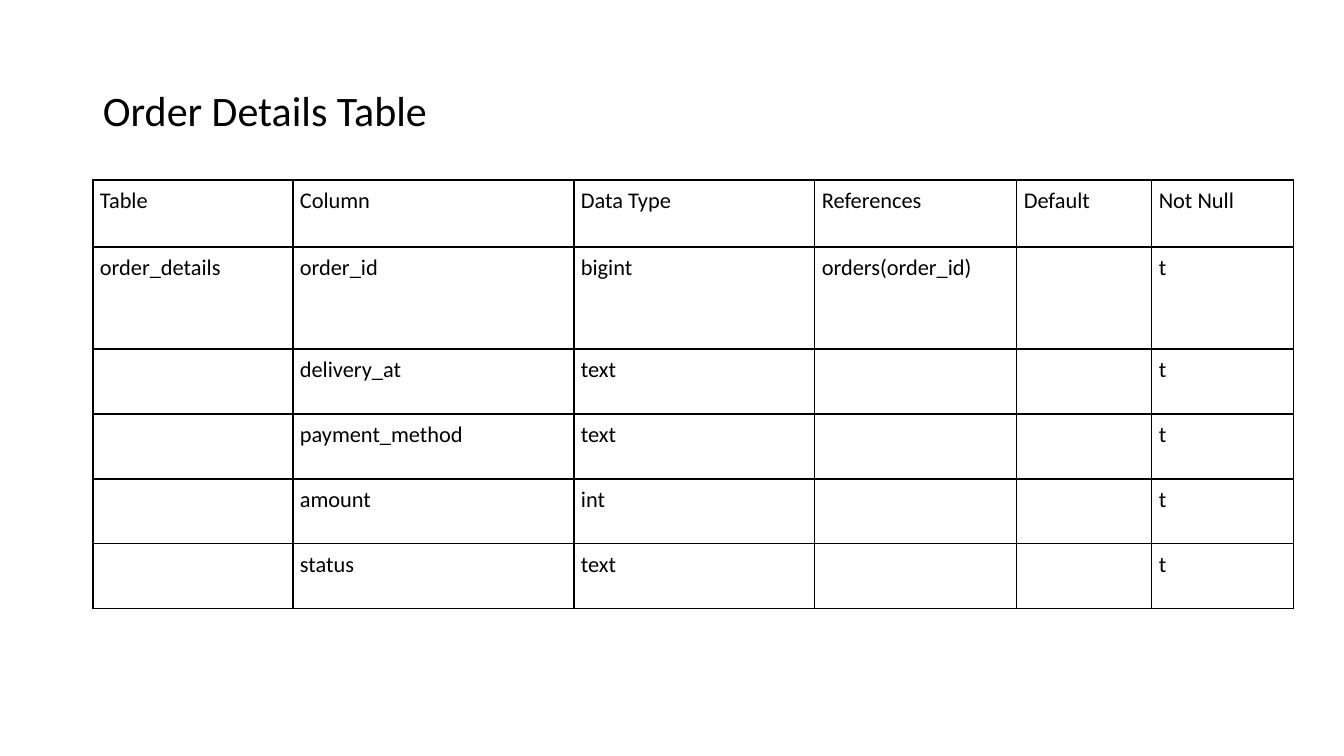
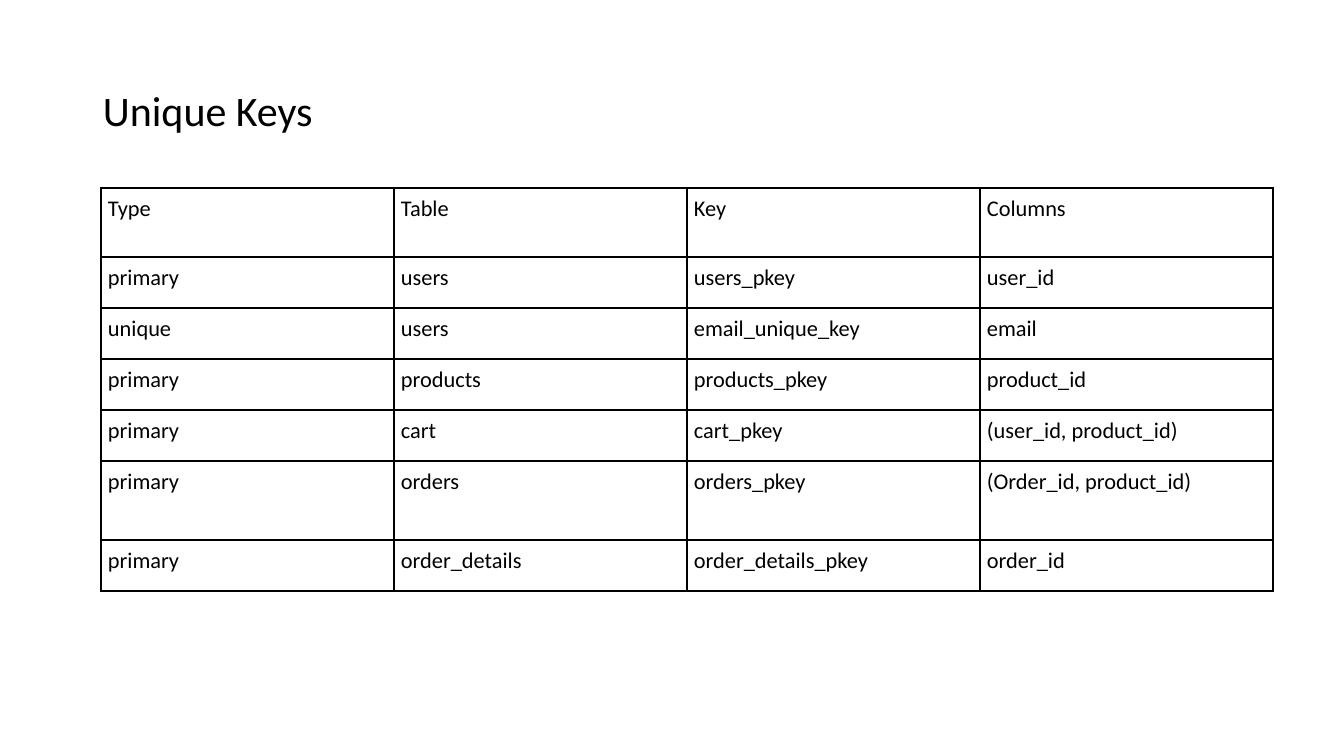
from lxml import etree
from pptx import Presentation
from pptx.dml.color import RGBColor
from pptx.enum.text import MSO_ANCHOR
from pptx.oxml.ns import qn
from pptx.util import Pt

MIDDLE = MSO_ANCHOR.MIDDLE
SLIDE_W, SLIDE_H = 1344, 756
PX = 12192000 / SLIDE_W
FONT = "Calibri"
INK = "000000"
PAPER = "FFFFFF"
TITLE_BOX = (93, 40, 1159, 146)
CELL_INSET = 7
BORDER_PT = 1

ORDER_DETAILS = [
    ("Table", "Column", "Data Type", "References", "Default", "Not Null"),
    ("order_details", "order_id", "bigint", "orders(order_id)", "", "t"),
    ("", "delivery_at", "text", "", "", "t"),
    ("", "payment_method", "text", "", "", "t"),
    ("", "amount", "int", "", "", "t"),
    ("", "status", "text", "", "", "t"),
]
UNIQUE_KEYS = [
    ("Type", "Table", "Key", "Columns"),
    ("primary", "users", "users_pkey", "user_id"),
    ("unique", "users", "email_unique_key", "email"),
    ("primary", "products", "products_pkey", "product_id"),
    ("primary", "cart", "cart_pkey", "(user_id, product_id)"),
    ("primary", "orders", "orders_pkey", "(Order_id, product_id)"),
    ("primary", "order_details", "order_details_pkey", "order_id"),
]


def px(length):
    """Turn a length in px into EMU."""
    return round(length * PX)


def color(value):
    """Turn a hex string into a colour."""
    return RGBColor.from_string(value)


def style_text(paragraph, size):
    """Set the shared font and ink on a paragraph."""
    paragraph.font.name = FONT
    paragraph.font.size = Pt(size)
    paragraph.font.color.rgb = color(INK)


def add_title(slide, text, box):
    """Place the slide title, centred vertically in its box."""
    frame = slide.shapes.add_textbox(*map(px, box)).text_frame
    frame.word_wrap = True
    frame.vertical_anchor = MIDDLE
    heading = frame.paragraphs[0]
    heading.text = text
    heading.line_spacing = 0.9
    style_text(heading, 30)


def add_borders(cell):
    """Draw a solid line on all four sides of a cell."""
    properties = cell._tc.get_or_add_tcPr()
    for side in ("lnL", "lnR", "lnT", "lnB"):
        line = etree.SubElement(properties, qn(f"a:{side}"), w=str(Pt(BORDER_PT)))
        fill = etree.SubElement(line, qn("a:solidFill"))
        etree.SubElement(fill, qn("a:srgbClr"), val=INK)


def fill_cell(cell, text):
    """Write one bordered cell without a fill."""
    cell.margin_left = cell.margin_right = px(CELL_INSET)
    cell.margin_top = cell.margin_bottom = px(CELL_INSET)
    add_borders(cell)
    cell.fill.background()
    entry = cell.text_frame.paragraphs[0]
    entry.text = text
    style_text(entry, 16)


def add_grid(slide, rows, left, top, widths, heights):
    """Place a plain ruled table with its corner at left, top."""
    box = (left, top, sum(widths), sum(heights))
    grid = slide.shapes.add_table(len(rows), len(widths), *map(px, box)).table
    grid.first_row = False
    grid.horz_banding = False
    for column, width in zip(grid.columns, widths):
        column.width = px(width)
    for row, height, texts in zip(grid.rows, heights, rows):
        row.height = px(height)
        for cell, text in zip(row.cells, texts):
            fill_cell(cell, text)


def add_table_slide(deck, title, rows, left, top, widths, heights):
    """Add a slide with a title above a table."""
    slide = deck.slides.add_slide(deck.slide_layouts[6])
    slide.background.fill.solid()
    slide.background.fill.fore_color.rgb = color(PAPER)
    add_title(slide, title, TITLE_BOX)
    add_grid(slide, rows, left, top, widths, heights)


def main():
    """Build and save the deck."""
    deck = Presentation()
    deck.slide_width, deck.slide_height = px(SLIDE_W), px(SLIDE_H)
    add_table_slide(deck, "Order Details Table", ORDER_DETAILS, 93, 180,
                    [200, 281, 241, 202, 135, 142], [67, 102] + [65] * 4)
    add_table_slide(deck, "Unique Keys", UNIQUE_KEYS, 101, 188,
                    [293] * 4, [69] + [51] * 4 + [79, 51])
    deck.save("out.pptx")


if __name__ == "__main__":
    main()
